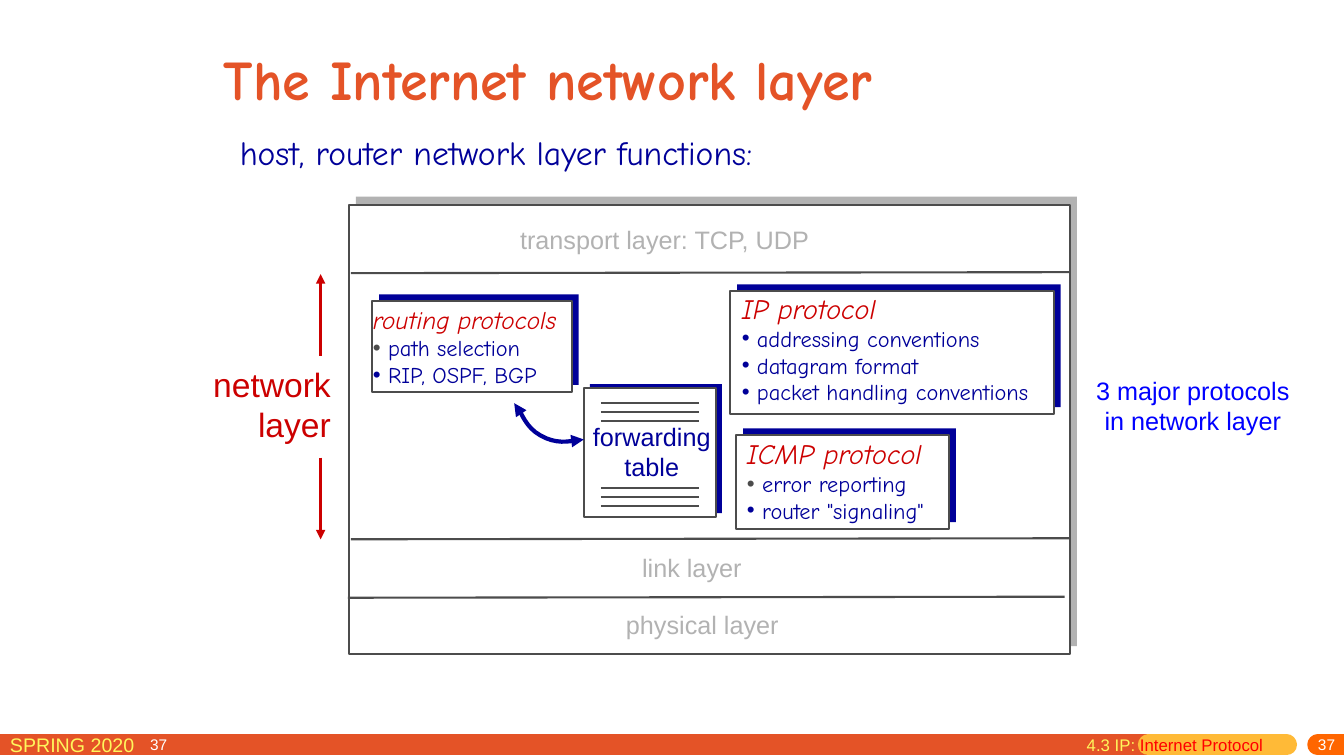
import pptx
import pptx.util
import pptx.dml.color
import pptx.enum.shapes
import pptx.enum.text
import pptx.oxml
import pptx.oxml.ns

Inches = pptx.util.Inches
RGBColor = pptx.dml.color.RGBColor
ALIGN = pptx.enum.text.PP_ALIGN
ANCHOR = pptx.enum.text.MSO_ANCHOR

ORANGE = RGBColor(0xE4, 0x53, 0x27)
AMBER = RGBColor(0xFF, 0xBA, 0x37)
BRIGHT = RGBColor(0xFF, 0x66, 0x00)
YELLOW = RGBColor(0xFF, 0xF6, 0x5C)
WHITE = RGBColor(0xFF, 0xFF, 0xFF)
SILVER = RGBColor(0xB2, 0xB2, 0xB2)
GRAY = RGBColor(0x4C, 0x4C, 0x4C)
NAVY = RGBColor(0x00, 0x00, 0x99)
BLUE = RGBColor(0x00, 0x00, 0xFF)
CRIMSON = RGBColor(0xCC, 0x00, 0x00)
RED = RGBColor(0xFF, 0x00, 0x00)
COMIC = "Comic Neue"


def add_tag(parent, tag, **values):
    node = pptx.oxml.parse_xml(f"<a:{tag} {pptx.oxml.ns.nsdecls('a')}/>")
    for key, value in values.items():
        node.set(key, value)
    parent.append(node)
    return node


def write(frame, lines, size=18, color=NAVY, face="Arial", bold=False,
          slant=False, align=ALIGN.LEFT, dot=None, join=False):
    for line in lines:
        if join or not frame.text:
            para = frame.paragraphs[-1]
        else:
            para = frame.add_paragraph()
        if dot:
            props = para._p.get_or_add_pPr()
            props.set("marL", str(Inches(0.15)))
            props.set("indent", str(-Inches(0.15)))
            add_tag(add_tag(props, "buClr"), "srgbClr", val=str(dot))
            add_tag(props, "buFont", typeface="Arial")
            add_tag(props, "buChar", char="•")
        para.alignment = align
        run = para.add_run()
        run.text = line
        font = run.font
        font.size = pptx.util.Pt(size)
        font.name = face
        font.bold = bold
        font.italic = slant
        font.color.rgb = color


def add_box(slide, left, top, width, height, wrap=True):
    box = slide.shapes.add_textbox(*map(Inches, (left, top, width, height)))
    box.text_frame.word_wrap = wrap
    return box.text_frame


def add_rect(slide, left, top, width, height, fill, edge=None):
    rect = slide.shapes.add_shape(
        pptx.enum.shapes.MSO_SHAPE.RECTANGLE,
        *map(Inches, (left, top, width, height)))
    rect.shadow.inherit = False
    rect.fill.solid()
    rect.fill.fore_color.rgb = fill
    if edge is None:
        rect.line.fill.background()
    else:
        rect.line.color.rgb = edge
        rect.line.width = pptx.util.Pt(1.5)


def add_panel(slide, left, top, width, height, shade=NAVY, right=0.07, rise=0.07):
    add_rect(slide, left + right, top - rise, width, height, shade)
    add_rect(slide, left, top, width, height, WHITE, GRAY)


def add_line(slide, start, end, color=GRAY, width=1.5, arrow=False, cap="flat"):
    line = slide.shapes.add_connector(
        pptx.enum.shapes.MSO_CONNECTOR.STRAIGHT, *map(Inches, start + end))
    line.line.color.rgb = color
    line.line.width = pptx.util.Pt(width)
    stroke = line.line._get_or_add_ln()
    stroke.set("cap", cap)
    if arrow:
        add_tag(stroke, "tailEnd", type="triangle")
    add_tag(line._element.spPr, "effectLst")


def add_curve(slide, start, bends):
    points = []
    first = start
    for bend in bends:
        for step in range(1, 11):
            t = step / 10
            parts = ((1 - t) ** 3, 3 * t * (1 - t) ** 2, 3 * t * t * (1 - t), t ** 3)
            points.append(tuple(
                Inches(sum(part * spot[axis] for part, spot in zip(parts, (first, *bend))))
                for axis in (0, 1)))
        first = bend[-1]
    maker = slide.shapes.build_freeform(*map(Inches, start))
    maker.add_line_segments(points, close=False)
    curve = maker.convert_to_shape()
    curve.shadow.inherit = False
    curve.fill.background()
    curve.line.color.rgb = NAVY
    curve.line.width = pptx.util.Pt(3)
    stroke = curve.line._get_or_add_ln()
    add_tag(stroke, "headEnd", type="triangle")
    add_tag(stroke, "tailEnd", type="triangle")


def add_card(slide, panel, place, title, points, size=20, dot=NAVY, wrap=True):
    add_panel(slide, *panel)
    frame = add_box(slide, *place, wrap=wrap)
    write(frame, [title], size=size, color=CRIMSON, face=COMIC, slant=True)
    write(frame, points[:1], size=16, face=COMIC, dot=dot)
    write(frame, points[1:], size=16, face=COMIC, dot=NAVY)


def add_foot(slide):
    for left, right, color, cap in ((0, 11.39, ORANGE, "flat"),
                                    (11.39, 12.76, AMBER, "rnd"),
                                    (13.07, 13.33, BRIGHT, "rnd")):
        add_line(slide, (left, 7.39), (right, 7.39), color, 15, cap=cap)
    write(add_box(slide, 0, 7.22, 2.29, 0.31), ["SPRING 2020"], size=14, color=YELLOW)
    for place, align in (((10.75, 7.32, 2.59, 0.18), ALIGN.RIGHT),
                         ((1.39, 7.33, 0.55, 0.15), ALIGN.LEFT)):
        frame = add_box(slide, *place)
        frame.margin_top = 0
        frame.vertical_anchor = ANCHOR.MIDDLE
        write(frame, ["37"], size=11, color=WHITE, align=align)
    frame = add_box(slide, 10.68, 7.24, 2.2, 0.31)
    write(frame, ["4.3 IP: "], size=12, color=YELLOW)
    write(frame, ["Internet Protocol"], size=12, color=RED, join=True)


def add_head(slide):
    title = slide.shapes.title
    title.left, title.top, title.width, title.height = map(Inches, (2.12, 0.15, 8.5, 1.25))
    frame = title.text_frame
    frame.auto_size = pptx.enum.text.MSO_AUTO_SIZE.NONE
    frame.vertical_anchor = ANCHOR.MIDDLE
    write(frame, ["The Internet network layer"], size=40, color=ORANGE, face=COMIC, bold=True)
    frame = add_box(slide, 2.28, 1.3, 8.24, 0.48)
    write(frame, ["host, router network layer functions:"], size=24, face=COMIC)
    frame.paragraphs[0].line_spacing = 0.9


def add_stack(slide):
    add_panel(slide, 3.46, 2.03, 7.15, 4.46, SILVER, rise=0.08)
    for left, right, level in ((3.48, 10.61, 2.71), (3.48, 10.61, 5.35), (3.45, 10.56, 5.93)):
        add_line(slide, (left, level), (right, level - 0.01))
    for text, left, top, width in (("transport layer: TCP, UDP", 5.06, 2.18, 3.1),
                                   ("link layer", 6.27, 5.43, 1.19),
                                   ("physical layer", 6.11, 6, 1.72)):
        write(add_box(slide, left, top, width, 0.4, wrap=False), [text], color=SILVER)


def add_table_icon(slide):
    add_panel(slide, 5.79, 3.85, 1.31, 1.28, right=0.06, rise=0.04)
    write(add_box(slide, 5.78, 4.13, 1.37, 0.7, wrap=False),
          ["forwarding", "table"], align=ALIGN.CENTER)
    for top in (4, 4.84):
        for row in range(3):
            level = top + row * 0.09
            add_line(slide, (5.96, level), (6.93, level))


def main():
    deck = pptx.Presentation()
    deck.slide_width, deck.slide_height = Inches(13.33), Inches(7.5)
    slide = deck.slides.add_slide(deck.slide_layouts[5])
    add_foot(slide)
    add_head(slide)
    add_stack(slide)
    add_table_icon(slide)
    add_card(slide, (3.69, 2.99, 1.98, 0.9), (3.6, 2.97, 2.29, 0.94),
             "routing protocols", ["path selection", "RIP, OSPF, BGP"], size=18, dot=GRAY)
    add_card(slide, (7.24, 2.89, 3.21, 1.22), (7.26, 2.84, 3.26, 1.24), "IP protocol",
             ["addressing conventions", "datagram format", "packet handling conventions"],
             wrap=False)
    add_card(slide, (7.3, 4.32, 2.11, 0.93), (7.31, 4.28, 2.18, 0.98),
             "ICMP protocol", ["error reporting", "router \"signaling\""], dot=GRAY)
    add_curve(slide, (5.1, 4), [((5.16, 4.03), (5.18, 4.22), (5.36, 4.32)),
                                ((5.55, 4.43), (5.7, 4.36), (5.79, 4.36))])
    write(add_box(slide, 2, 3.56, 1.38, 0.91, wrap=False), ["network", "layer"],
          size=24, color=CRIMSON, align=ALIGN.RIGHT)
    for start, end in ((3.53, 2.72), (4.54, 5.35)):
        add_line(slide, (3.18, start), (3.18, end), CRIMSON, 2.25, arrow=True)
    write(add_box(slide, 10.77, 3.67, 2.12, 0.71),
          ["3 major protocols", "in network layer"], color=BLUE, align=ALIGN.CENTER)
    deck.save("out.pptx")


if __name__ == "__main__":
    main()
